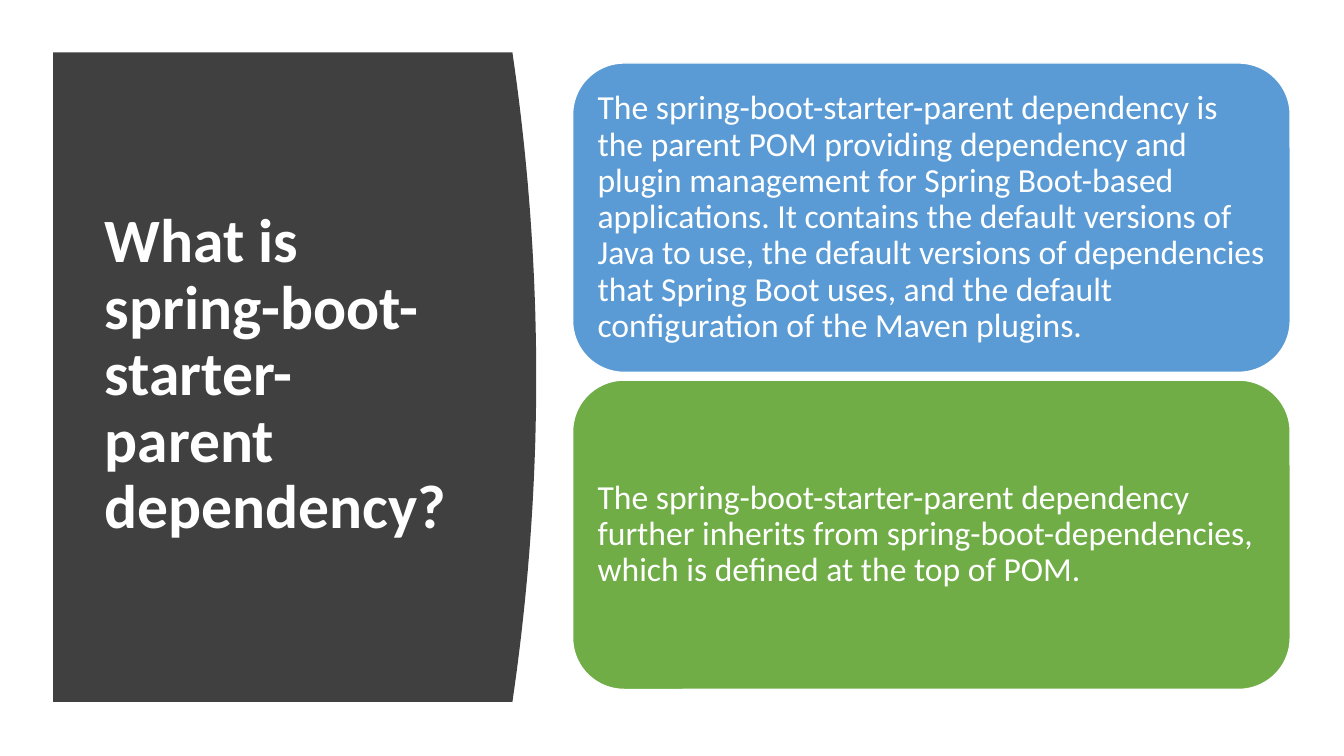
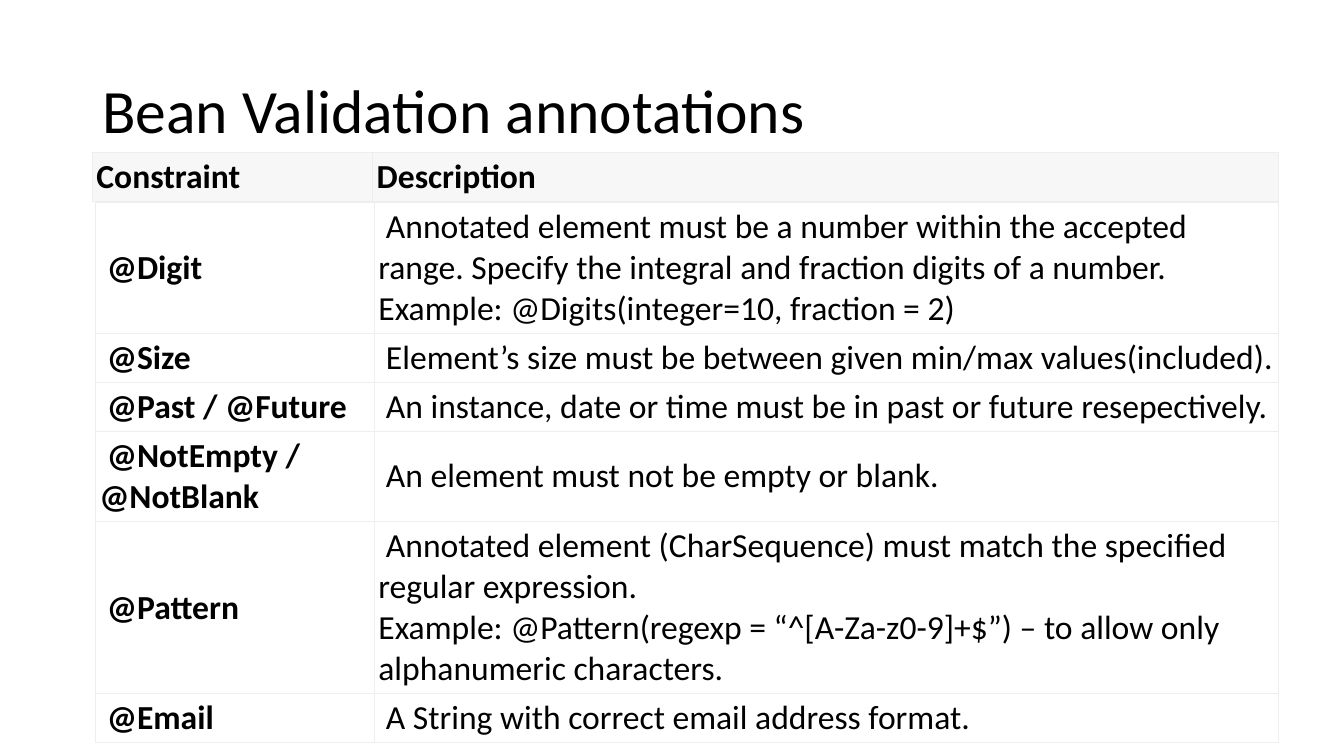
"""Build two slides: the Spring Boot parent dependency and Bean Validation annotations."""
from lxml import etree
from pptx import Presentation
from pptx.dml.color import RGBColor
from pptx.enum.shapes import MSO_SHAPE
from pptx.enum.text import MSO_ANCHOR, PP_ALIGN
from pptx.oxml.ns import qn
from pptx.util import Pt

ROUNDED = MSO_SHAPE.ROUNDED_RECTANGLE
MIDDLE = MSO_ANCHOR.MIDDLE
LEFT = PP_ALIGN.LEFT

WHITE = RGBColor(0xFF, 0xFF, 0xFF)
BLACK = RGBColor(0x00, 0x00, 0x00)
CHARCOAL = RGBColor(0x40, 0x40, 0x40)
BLUE = RGBColor(0x5B, 0x9B, 0xD5)
GREEN = RGBColor(0x70, 0xAD, 0x47)
HEADER_GRAY = RGBColor(0xF7, 0xF7, 0xF7)
BORDER_GRAY = RGBColor(0xEE, 0xEE, 0xEE)

FONT = "Calibri"
TITLE_SIZE = 44
BODY_SIZE = 24
LINE_HEIGHT = 29.3
CELL_MARGIN = 2.9
CELL_INDENT = 5.4


def write_text(frame, text, size, color, bold=False, spacing=0.9):
    frame.word_wrap = True
    frame.vertical_anchor = MIDDLE
    paragraph = frame.paragraphs[0]
    paragraph.text = text
    paragraph.alignment = LEFT
    paragraph.line_spacing = spacing
    paragraph.font.name = FONT
    paragraph.font.size = Pt(size)
    paragraph.font.bold = bold
    paragraph.font.color.rgb = color
    return paragraph


def add_grid(page, left, top, widths, rows, fill, bold_columns, indent):
    heights = [lines * LINE_HEIGHT + 2 * CELL_MARGIN for lines, *_ in rows]
    table = page.shapes.add_table(
        len(rows), len(widths), Pt(left), Pt(top), Pt(sum(widths)), Pt(sum(heights))
    ).table
    table.first_row = False
    table.horz_banding = False
    for column, width in zip(table.columns, widths):
        column.width = Pt(width)
    for row, height, (_, *texts) in zip(table.rows, heights, rows):
        row.height = Pt(height)
        for index, (cell, text) in enumerate(zip(row.cells, texts)):
            cell.margin_left = cell.margin_right = Pt(CELL_MARGIN)
            cell.margin_top = cell.margin_bottom = Pt(CELL_MARGIN)
            cell.vertical_anchor = MIDDLE
            paragraph = write_text(
                cell.text_frame, text, BODY_SIZE, BLACK, index in bold_columns, 1.0
            )
            properties = paragraph._p.get_or_add_pPr()
            properties.set("marL", "0")
            properties.set("indent", str(Pt(indent)))
            cell_properties = cell._tc.get_or_add_tcPr()
            for side in ("a:lnL", "a:lnR", "a:lnT", "a:lnB"):
                border = etree.SubElement(cell_properties, qn(side), w=str(Pt(0.75)))
                solid = etree.SubElement(border, qn("a:solidFill"))
                etree.SubElement(solid, qn("a:srgbClr"), val=str(BORDER_GRAY))
            cell.fill.solid()
            cell.fill.fore_color.rgb = fill


deck = Presentation()
deck.slide_width = Pt(960)
deck.slide_height = Pt(540)
parent_page, validation_page = [
    deck.slides.add_slide(deck.slide_layouts[6]) for _ in range(2)
]

PANEL_LEFT, PANEL_TOP, PANEL_HEIGHT = 38, 37.4, 464
PANEL_EDGE, PANEL_BULGE, CURVE_STEPS = 366, 17, 40
curve = []
for step in range(CURVE_STEPS + 1):
    offset = 2 * step / CURVE_STEPS - 1
    curve.append((
        Pt(PANEL_EDGE + PANEL_BULGE * (1 - offset ** 2)),
        Pt(PANEL_TOP + PANEL_HEIGHT * step / CURVE_STEPS),
    ))
outline = parent_page.shapes.build_freeform(Pt(PANEL_LEFT), Pt(PANEL_TOP))
outline.add_line_segments(curve + [(Pt(PANEL_LEFT), Pt(PANEL_TOP + PANEL_HEIGHT))])
panel = outline.convert_to_shape()
panel.shadow.inherit = False
panel.fill.solid()
panel.fill.fore_color.rgb = CHARCOAL
panel.line.fill.background()

titles = [
    (parent_page, "What is spring-boot-starter-parent dependency?",
     (67.7, 80, 269.3, 377), WHITE, True),
    (validation_page, "Bean Validation annotations",
     (66, 28.8, 828, 104.4), BLACK, False),
]
for page, title, bounds, color, bold in titles:
    box = page.shapes.add_textbox(*[Pt(length) for length in bounds])
    write_text(box.text_frame, title, TITLE_SIZE, color, bold)

CARD_LEFT, CARD_TOP, CARD_WIDTH, CARD_HEIGHT, CARD_PITCH = 409, 45, 512.6, 221, 226.5
cards = [
    (BLUE, "The spring-boot-starter-parent dependency is the parent POM providing "
           "dependency and plugin management for Spring Boot-based applications. It "
           "contains the default versions of Java to use, the default versions of "
           "dependencies that Spring Boot uses, and the default configuration of the "
           "Maven plugins."),
    (GREEN, "The spring-boot-starter-parent dependency further inherits from "
            "spring-boot-dependencies, which is defined at the top of POM."),
]
for index, (color, text) in enumerate(cards):
    card = parent_page.shapes.add_shape(
        ROUNDED, Pt(CARD_LEFT), Pt(CARD_TOP + index * CARD_PITCH),
        Pt(CARD_WIDTH), Pt(CARD_HEIGHT),
    )
    card.shadow.inherit = False
    card.fill.solid()
    card.fill.fore_color.rgb = color
    card.line.color.rgb = WHITE
    card.line.width = Pt(1)
    frame = card.text_frame
    frame.margin_left = frame.margin_right = Pt(7.2)
    frame.margin_top = frame.margin_bottom = Pt(7.2)
    write_text(frame, text, BODY_SIZE, WHITE)

constraints = [
    (3, "@Digit", "Annotated element must be a number within the accepted range. "
                  "Specify the integral and fraction digits of a number.\n"
                  "Example: @Digits(integer=10, fraction = 2)"),
    (1, "@Size", "Element’s size must be between given min/max values(included)."),
    (1, "@Past / @Future",
     "An instance, date or time must be in past or future resepectively."),
    (2, "@NotEmpty / @NotBlank", "An element must not be empty or blank."),
    (4, "@Pattern", "Annotated element (CharSequence) must match the specified regular "
                    "expression.\nExample: @Pattern(regexp = “^[A-Za-z0-9]+$”) – to "
                    "allow only alphanumeric characters."),
    (1, "@Email", "A String with correct email address format."),
]
add_grid(validation_page, 68, 144.3, (199.4, 645.8), constraints, WHITE, (0,), CELL_INDENT)
add_grid(validation_page, 66, 108.9, (200.2, 647.2), [(1, "Constraint", "Description")],
         HEADER_GRAY, (0, 1), 0)

deck.save("out.pptx")
